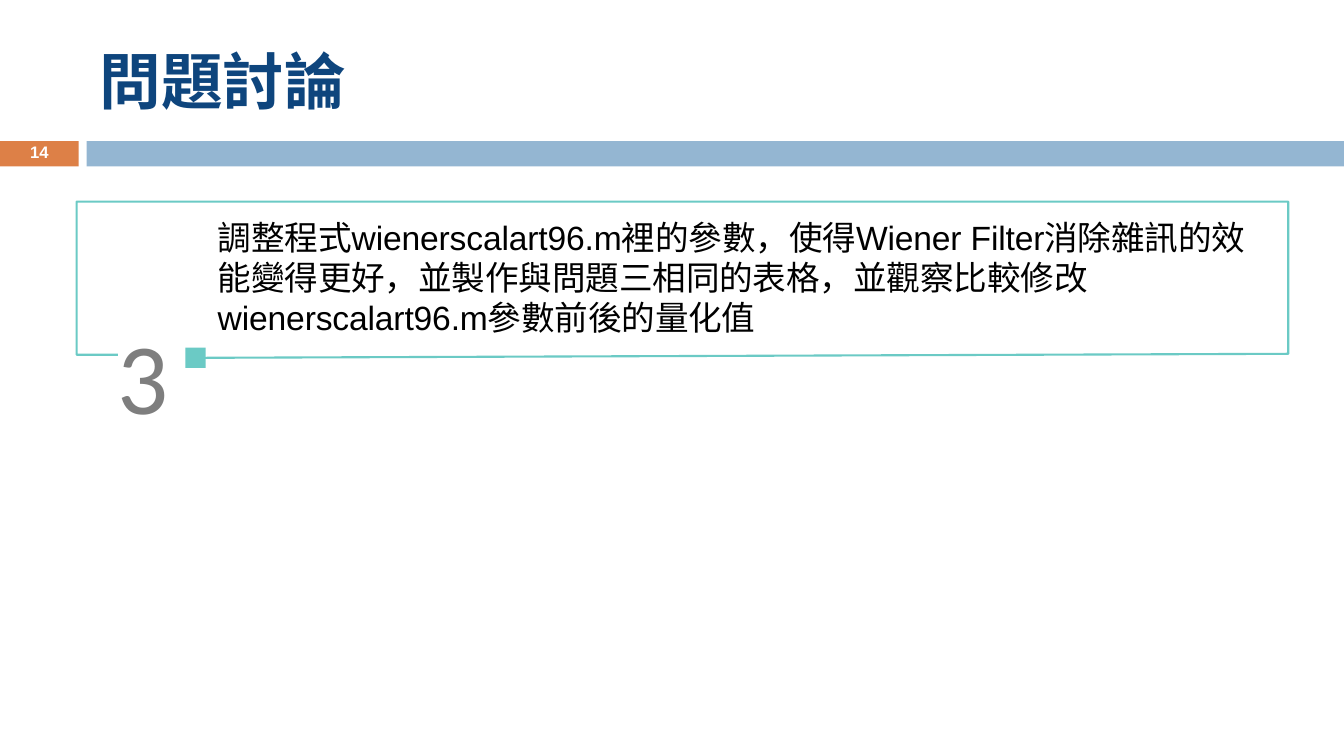
import dataclasses

import pptx
import pptx.dml.color
import pptx.enum.shapes
import pptx.enum.text
import pptx.util

COLUMNS, ROWS = 133.33, 75  # square grid cells of a tenth of an inch
CELL = pptx.util.Inches(0.1)


@dataclasses.dataclass(frozen=True)
class Theme:
    font: str = "Arial"
    number_font: str = "Calibri"
    title: str = "0E457D"
    page_tab: str = "DD8047"
    band: str = "94B6D2"
    frame: str = "6BCAC5"
    number: str = "7E7E7E"
    body: str = "000000"
    light: str = "FFFFFF"
    title_size: float = 44
    page_size: float = 11.9
    number_size: float = 72
    body_size: float = 24
    frame_line: float = 1.5


@dataclasses.dataclass(frozen=True)
class Box:
    left: float
    top: float
    width: float
    height: float

    def inner(self, left, top, width, height):
        return Box(self.left + left, self.top + top, width, height)

    def emu(self):
        return [round(v * CELL) for v in (self.left, self.top, self.width, self.height)]


THEME = Theme()


def rgb(color):
    return pptx.dml.color.RGBColor.from_string(color)


def add_block(page, box, color):
    block = page.shapes.add_shape(pptx.enum.shapes.MSO_SHAPE.RECTANGLE, *box.emu())
    block.shadow.inherit = False
    block.fill.solid()
    block.fill.fore_color.rgb = rgb(color)
    block.line.fill.background()


def add_text(page, box, text, size, color, font=THEME.font, bold=False,
             middle=False, inset=True, spacing=0):
    frame = page.shapes.add_textbox(*box.emu()).text_frame
    frame.word_wrap = True
    if middle:
        frame.vertical_anchor = pptx.enum.text.MSO_ANCHOR.MIDDLE
    if not inset:
        frame.margin_left = frame.margin_right = 0
        frame.margin_top = frame.margin_bottom = 0
    para = frame.paragraphs[0]
    span = para.add_run()
    span.text = text
    if spacing:  # hundredths of a point
        span.font._element.set("spc", str(spacing))
    para.font.name = font
    para.font.size = pptx.util.Pt(size)
    para.font.bold = bold
    para.font.color.rgb = rgb(color)
    # Runs take the paragraph font explicitly, for renderers that skip it
    span.font.name, span.font.size, span.font.bold = font, para.font.size, bold
    span.font.color.rgb = rgb(color)
    return para


def add_header(page, box, title, page_number):
    # Title above the band
    add_text(page, box.inner(8.9, 2.5, 118.9, 10.8), title, THEME.title_size,
             THEME.title, bold=True, middle=True)

    # Page tab and band
    tab = box.inner(0, 14, 7.8, 2.5)
    add_block(page, tab, THEME.page_tab)
    add_block(page, box.inner(8.6, 14, box.width - 8.6, tab.height), THEME.band)
    para = add_text(page, tab, page_number, THEME.page_size, THEME.light,
                    bold=True, middle=True)
    para.alignment = pptx.enum.text.PP_ALIGN.CENTER
    para.line_spacing = 0.8


def add_question(page, box, number, question):
    # Frame, left open around the number
    outline = [(4.1, 15.2), (0, 15.2), (0, 0), (box.width, 0),
               (box.width, 15.1), (11.9, box.height)]
    points = [(round((box.left + x) * CELL), round((box.top + y) * CELL))
              for x, y in outline]
    builder = page.shapes.build_freeform(*points[0])
    builder.add_line_segments(points[1:], close=False)
    frame = builder.convert_to_shape()
    frame.shadow.inherit = False
    frame.fill.background()
    frame.line.color.rgb = rgb(THEME.frame)
    frame.line.width = pptx.util.Pt(THEME.frame_line)

    # Square at the end of the frame
    add_block(page, box.inner(10.8, 14.5, 2, 2), THEME.frame)

    # Number and question
    add_text(page, box.inner(4.1, 11.1, 5.3, 12.1), number, THEME.number_size,
             THEME.number, font=THEME.number_font, inset=False, spacing=-40)
    add_text(page, box.inner(14, 1.5, 104.2, 12.1), question, THEME.body_size,
             THEME.body, inset=False, spacing=-10)


def main():
    deck = pptx.Presentation()
    deck.slide_width = round(COLUMNS * CELL)
    deck.slide_height = ROWS * CELL
    page = deck.slides.add_slide(deck.slide_layouts[6])

    add_header(page, Box(0, 0, COLUMNS, 16.5), "問題討論", "14")
    add_question(
        page, Box(7.6, 20, 120.2, 15.5), "3",
        "調整程式wienerscalart96.m裡的參數，使得Wiener Filter消除雜訊的"
        "效能變得更好，並製作與問題三相同的表格，並觀察比較修改"
        "wienerscalart96.m參數前後的量化值")
    deck.save("out.pptx")


if __name__ == "__main__":
    main()
